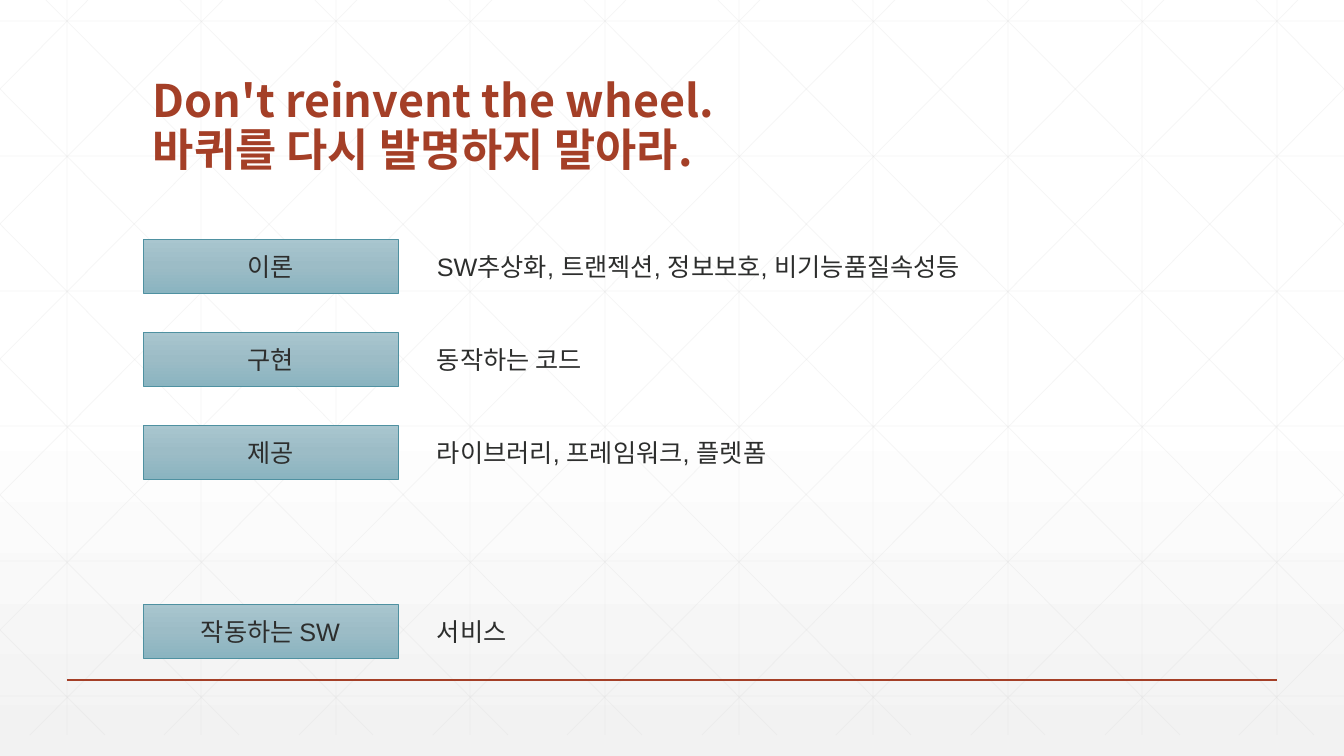
"""Build a slide on not reinventing the wheel: four labelled rows on a fine grid."""
from lxml.etree import SubElement
from pptx import Presentation
from pptx.dml.color import RGBColor
from pptx.enum.shapes import MSO_CONNECTOR, MSO_SHAPE
from pptx.enum.text import MSO_ANCHOR, MSO_AUTO_SIZE, PP_ALIGN
from pptx.oxml.ns import qn
from pptx.util import Emu, Pt

W, H = 1344, 756
PX = 12192000 / W
COLORS = {"grid": "D9D9D9", "accent": "A43F27", "text": "2D2E2D", "border": "4F91A1"}
BACKGROUND = [(0, "FFFFFF", 100), (53, "FFFFFF", 100), (100, "F2F2F2", 65)]
BOX_FILL = [(0, "A9C6CF", 100), (50, "9CBCC6", 100), (100, "8AB4C0", 100)]
BODY = {"name": "Arial", "size": Pt(18), "bold": False}
HEADING = {"name": "Noto Sans CJK KR", "size": Pt(32), "bold": True}
ROWS = [
    (239, "이론", "SW추상화, 트랜젝션, 정보보호, 비기능품질속성등", 588),
    (332, "구현", "동작하는 코드", 180),
    (425, "제공", "라이브러리, 프레임워크, 플렛폼", 379),
    (604, "작동하는 SW", "서비스", 97),
]


def set_gradient(fill, element, stops):
    fill.gradient()
    fill.gradient_angle = 270
    gs_list = next(element.iter(qn("a:gsLst")))
    for gs in list(gs_list):
        gs_list.remove(gs)
    for pos, color, alpha in stops:
        gs = SubElement(gs_list, qn("a:gs"), pos=str(pos * 1000))
        clr = SubElement(gs, qn("a:srgbClr"), val=color)
        if alpha < 100:
            SubElement(clr, qn("a:alpha"), val=str(alpha * 1000))


def write(s, text, color, font, **frame):
    tf = s.text_frame
    for key, value in frame.items():
        setattr(tf, key, value)
    p = tf.paragraphs[0]
    p.text = text
    for r in p.runs:
        for key, value in font.items():
            setattr(r.font, key, value)
        r.font.color.rgb = RGBColor.from_string(COLORS[color])
    return p


prs = Presentation()
prs.slide_width, prs.slide_height = Emu(round(W * PX)), Emu(round(H * PX))
slide = prs.slides.add_slide(prs.slide_layouts[6])
set_gradient(slide.background.fill, slide.element, BACKGROUND)

GRID_BOTTOM, STEP, SLOPE = 735, 134.4, 1.006
lines = []
for i in range(10):
    x = round(67 + i * STEP)
    lines.append((x, 0, x, GRID_BOTTOM, "grid"))
for i in range(6):
    y = 21 + i * 135
    lines.append((0, y, W, y, "grid"))
for i in range(-5, 10):
    top = 46 + i * STEP
    x1, x2 = max(0, top), min(W, top + GRID_BOTTOM / SLOPE)
    y1, y2 = (x1 - top) * SLOPE, (x2 - top) * SLOPE
    x1, y1, x2, y2 = map(round, (x1, y1, x2, y2))
    lines.append((x1, y1, x2, y2, "grid"))
    lines.append((W - x1, y1, W - x2, y2, "grid"))
lines.append((67, 680, 1277, 680, "accent"))

for *ends, color in lines:
    line = slide.shapes.add_connector(MSO_CONNECTOR.STRAIGHT, *(Emu(round(v * PX)) for v in ends))
    line.line.color.rgb = RGBColor.from_string(COLORS[color])
    line.line.width = Pt(0.5 if color == "grid" else 1)
    sp_pr = line.element.spPr
    SubElement(sp_pr, qn("a:effectLst"))
    if color == "grid":
        SubElement(next(sp_pr.iter(qn("a:srgbClr"))), qn("a:alpha"), val="25000")

title = slide.shapes.add_textbox(*(Emu(round(v * PX)) for v in (143, 55, 1058, 126)))
p = write(title, "Don't reinvent the wheel.\v바퀴를 다시 발명하지 말아라.", "accent", HEADING,
          word_wrap=True, vertical_anchor=MSO_ANCHOR.BOTTOM)
p.line_spacing = 0.9

for y, label, detail, width in ROWS:
    box = slide.shapes.add_shape(MSO_SHAPE.RECTANGLE, *(Emu(round(v * PX)) for v in (143, y, 255, 54)))
    box.shadow.inherit = False
    set_gradient(box.fill, box.element, BOX_FILL)
    box.line.color.rgb = RGBColor.from_string(COLORS["border"])
    box.line.width = Pt(0.5)
    p = write(box, label, "text", BODY, word_wrap=True, vertical_anchor=MSO_ANCHOR.MIDDLE)
    p.alignment = PP_ALIGN.CENTER
    note = slide.shapes.add_textbox(*(Emu(round(v * PX)) for v in (427, y + 7, width, 40)))
    write(note, detail, "text", BODY, word_wrap=False, auto_size=MSO_AUTO_SIZE.SHAPE_TO_FIT_TEXT)

prs.save("out.pptx")
